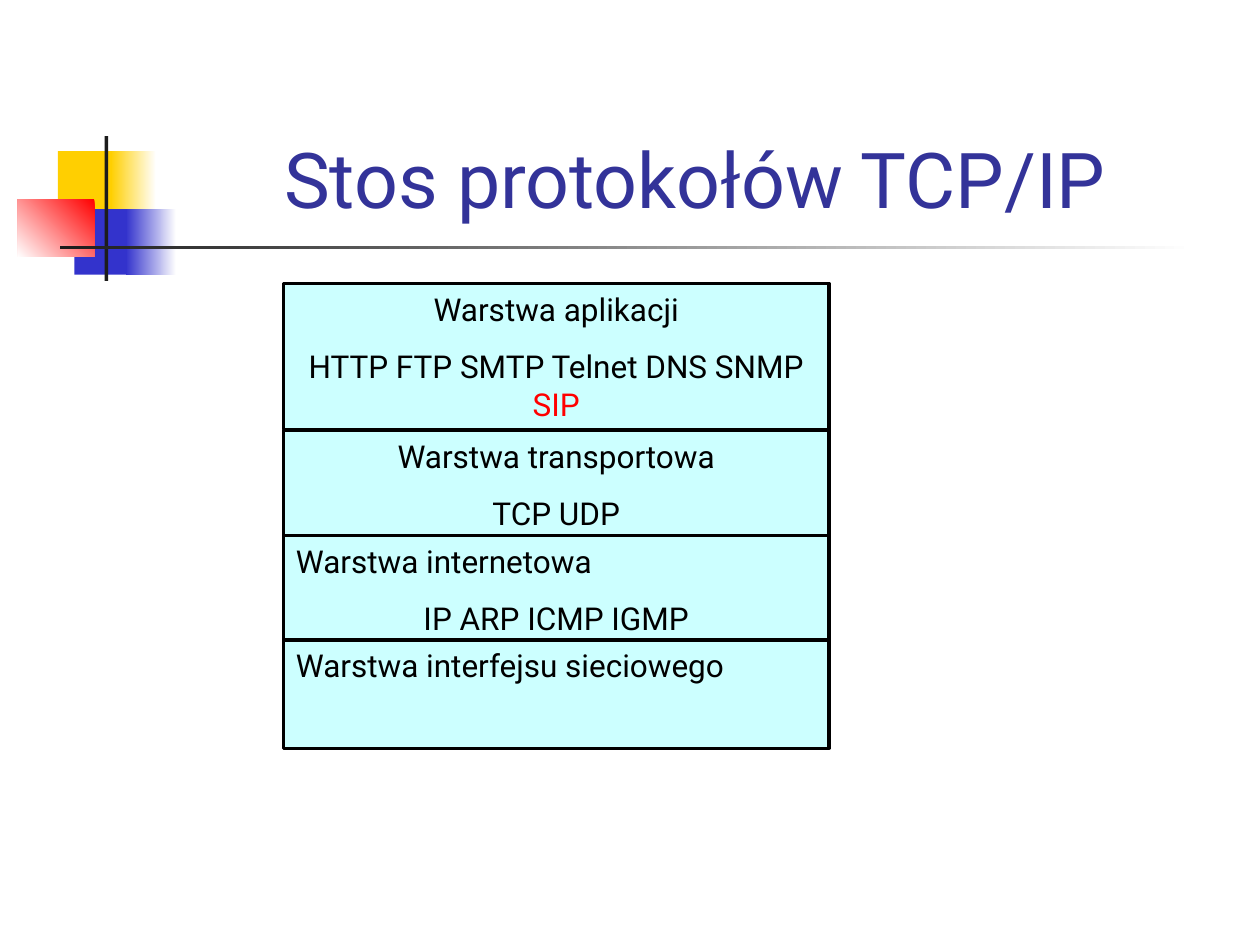
from pptx import Presentation
from pptx.dml.color import RGBColor
from pptx.enum.shapes import MSO_SHAPE as Shape
from pptx.enum.text import MSO_ANCHOR as Anchor, PP_ALIGN as Align
from pptx.util import Inches, Pt

COLORS = {
    "yellow": "FFCF01",
    "blue": "3333CC",
    "red": "FF0000",
    "dark": "1C1C1C",
    "white": "FFFFFF",
    "title": "333399",
    "layer": "CCFFFF",
    "black": "000000",
}
FONT = "Roboto"


def color(name):
    return RGBColor.from_string(COLORS[name])


def write(paragraph, text, size=18, color_name="black", align=Align.CENTER, before=0):
    """Add a formatted run to a paragraph."""
    paragraph.alignment = align
    paragraph.space_before = Pt(before)
    run = paragraph.add_run()
    run.text = text
    run.font.name = FONT
    run.font.size = Pt(size)
    run.font.color.rgb = color(color_name)


class SlideBuilder:
    def __init__(self, presentation):
        self.slide = presentation.slides.add_slide(presentation.slide_layouts[5])

    def title(self, text, left, top, width, height):
        shape = self.slide.shapes.title
        shape.left, shape.top = Inches(left), Inches(top)
        shape.width, shape.height = Inches(width), Inches(height)
        shape.text_frame.vertical_anchor = Anchor.BOTTOM
        write(shape.text_frame.paragraphs[0], text, size=44, color_name="title")

    def rectangle(self, left, top, width, height, fill):
        shape = self.slide.shapes.add_shape(
            Shape.RECTANGLE, Inches(left), Inches(top), Inches(width), Inches(height))
        shape.shadow.inherit = False
        shape.line.fill.background()
        shape.fill.solid()
        shape.fill.fore_color.rgb = color(fill)
        return shape

    def gradient(self, left, top, width, height, start, end, angle=180):
        shape = self.rectangle(left, top, width, height, start)
        shape.fill.gradient()
        shape.fill.gradient_angle = angle
        for stop, name in zip(shape.fill.gradient_stops, (start, end)):
            stop.color.rgb = color(name)

    def layer(self, top, height, heading, align, protocols):
        shape = self.rectangle(2.25, top, 4.33, height, "layer")
        shape.line.color.rgb = color("black")
        shape.line.width = Pt(1.75)
        frame = shape.text_frame
        frame.word_wrap = True
        frame.vertical_anchor = Anchor.TOP
        write(frame.paragraphs[0], heading, align=align)
        if protocols:
            paragraph = frame.add_paragraph()
            for text, color_name in protocols:
                write(paragraph, text, color_name=color_name, before=11.2)


def main():
    presentation = Presentation()
    presentation.slide_width, presentation.slide_height = Inches(10), Inches(7.5)
    builder = SlideBuilder(presentation)

    # Corner ornament: squares that fade out, crossed by two bars
    builder.rectangle(0.46, 1.2, 0.48, 0.52, "yellow")
    builder.gradient(0.88, 1.2, 0.36, 0.52, "white", "yellow")
    builder.rectangle(0.59, 1.66, 0.46, 0.52, "blue")
    builder.gradient(1, 1.66, 0.4, 0.52, "white", "blue")
    builder.gradient(0.14, 1.58, 0.61, 0.46, "red", "white", angle=225)
    builder.rectangle(0.83, 1.08, 0.03, 1.15, "dark")
    builder.gradient(0.48, 1.95, 9, 0.03, "white", "dark")

    builder.title("Stos protokołów TCP/IP", 1.26, 0.23, 8.52, 1.6)

    # Protocol layers, from top to bottom
    builder.layer(2.25, 1.16, "Warstwa aplikacji", Align.CENTER,
                  [("HTTP FTP SMTP Telnet DNS SNMP ", "black"), ("SIP", "red")])
    lower_layers = [
        ("Warstwa transportowa", Align.CENTER, [("TCP UDP", "black")]),
        ("Warstwa internetowa", Align.LEFT, [("IP ARP ICMP IGMP", "black")]),
        ("Warstwa interfejsu sieciowego", Align.LEFT, []),
    ]
    for index, (heading, align, protocols) in enumerate(lower_layers):
        builder.layer(3.42 + 0.83 * index, 0.86, heading, align, protocols)

    presentation.save("out.pptx")


if __name__ == "__main__":
    main()
